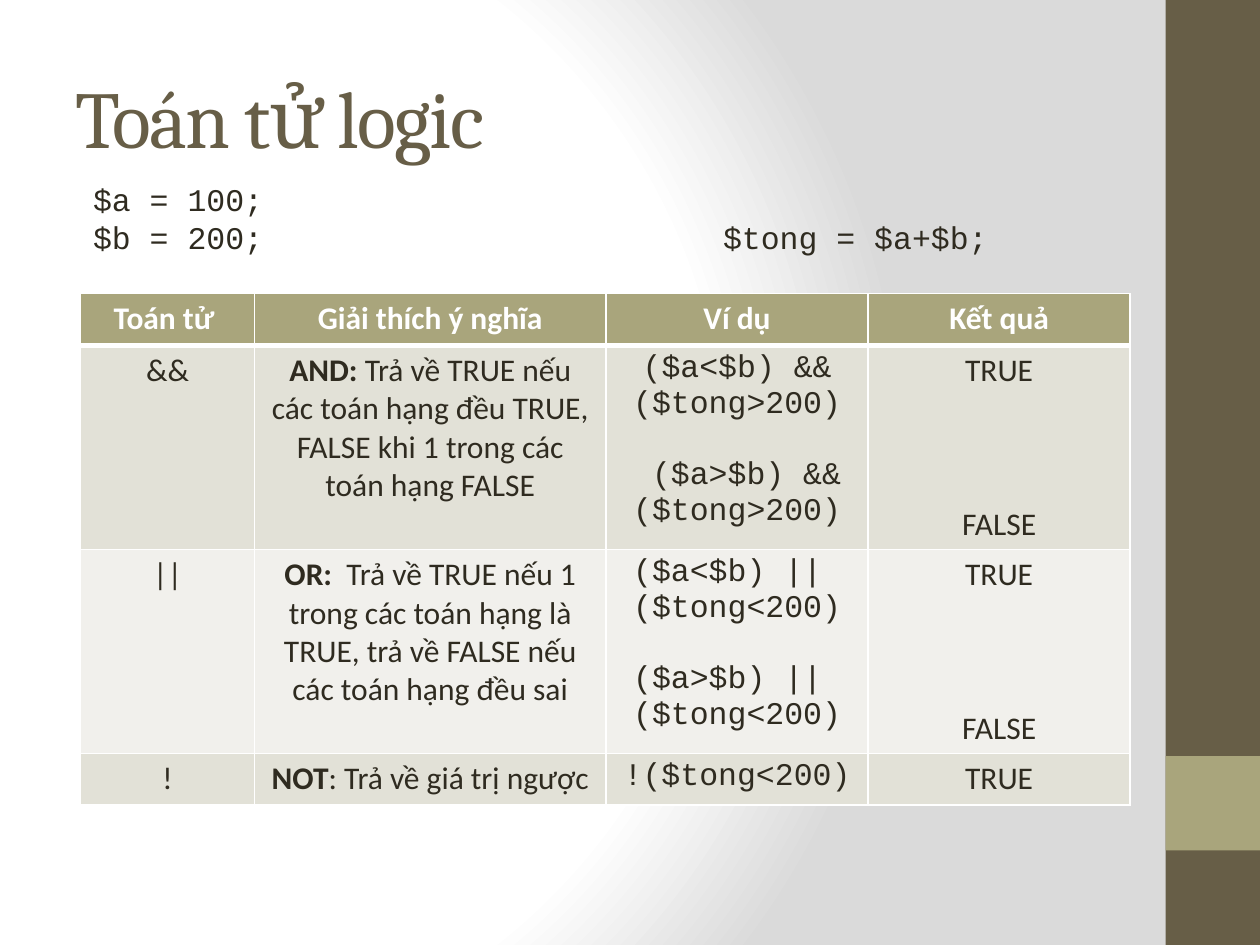
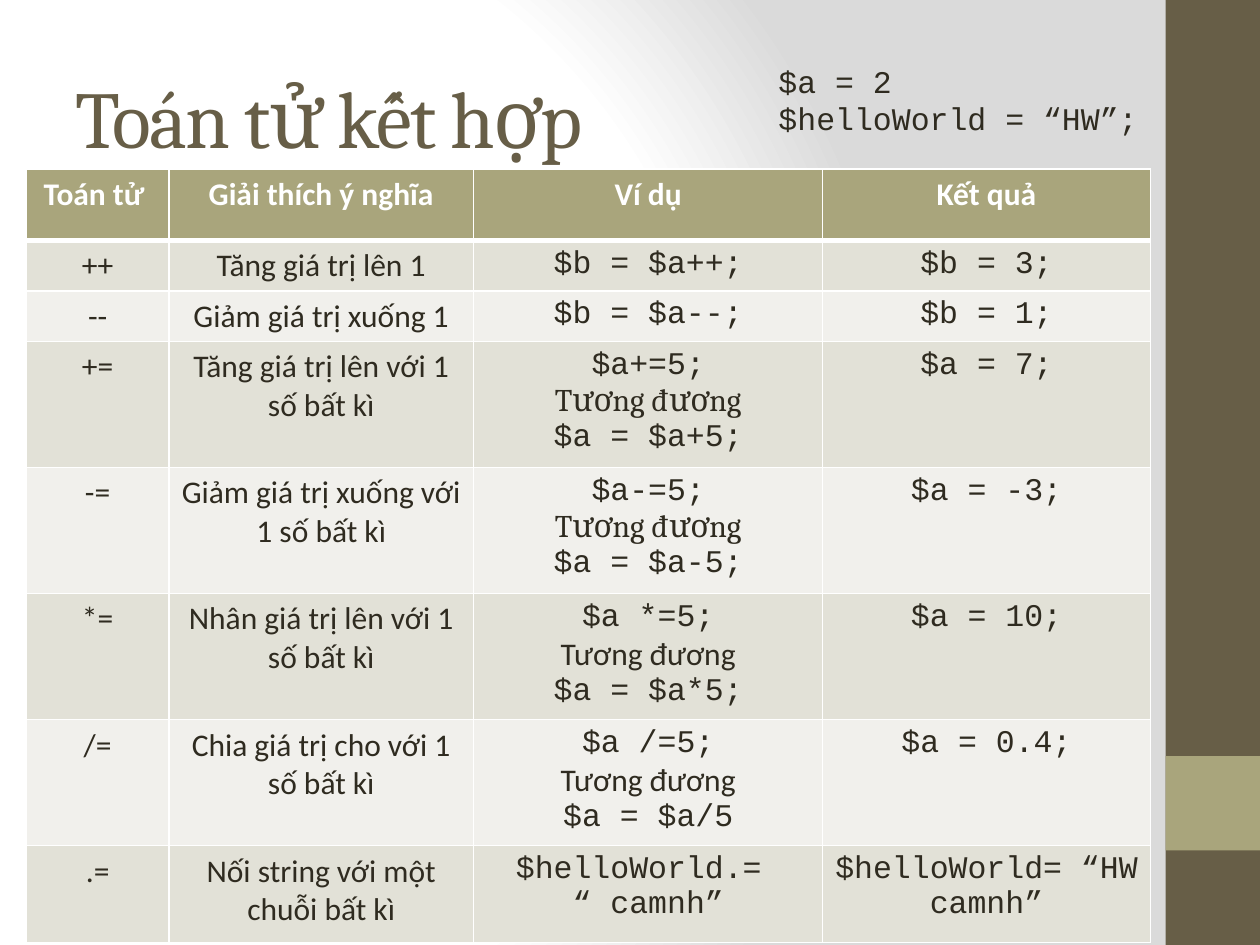
import pptx
import pptx.dml.color
import pptx.enum.shapes
import pptx.enum.text
import pptx.oxml
import pptx.oxml.ns
import pptx.util
from dataclasses import dataclass
from lxml import etree

Inches = pptx.util.Inches
Pt = pptx.util.Pt
COLORS = {
    "brown": "675E47", "olive": "A9A57C", "ink": "2F2B20", "white": "FFFFFF",
    "row_dark": "E2E1D7", "row_light": "F1F0EC", "gray": "DADADA",
}
BODY, HEADING, CODE = "Calibri", "Cambria", "Courier New"
HEADERS = ["Toán tử ", "Giải thích ý nghĩa", "Ví dụ", "Kết quả"]


@dataclass
class Line:
    """One paragraph of a cell: an optional bold lead, text and space above."""
    text: str
    font: str = BODY
    lead: str = ""
    gap: float = 0


def color(name):
    return pptx.dml.color.RGBColor.from_string(COLORS[name])


def style(font, name, size, fill, bold=False):
    font.name, font.size, font.bold = name, Pt(size), bold
    font.color.rgb = color(fill)


def add_background(page):
    """Radial gradient from white to gray."""
    page.background.fill.gradient()
    gradient = page.element.xpath("./p:cSld/p:bg//a:gradFill")[0]
    stops = "".join(
        f'<a:gs pos="{place * 1000}"><a:srgbClr val="{COLORS[name]}"/></a:gs>'
        for place, name in [(0, "white"), (75, "white"), (100, "gray")])
    radial = pptx.oxml.parse_xml(
        f'<a:gradFill {pptx.oxml.ns.nsdecls("a")} rotWithShape="1">'
        f'<a:gsLst>{stops}</a:gsLst><a:path path="circle">'
        '<a:fillToRect l="20000" t="50000" r="100000" b="50000"/>'
        '</a:path></a:gradFill>')
    gradient.getparent().replace(gradient, radial)


def add_side_band(page, left, width, height):
    """Full-height band with a square accent low on it."""
    for top, tall, name in [(0, height, "brown"), (0.8 * height, width, "olive")]:
        band = page.shapes.add_shape(
            pptx.enum.shapes.MSO_SHAPE.RECTANGLE,
            Inches(left), Inches(top), Inches(width), Inches(tall))
        band.shadow.inherit = False
        band.fill.solid()
        band.fill.fore_color.rgb = color(name)
        band.line.fill.background()


def add_text_box(page, left, top, width, height):
    box = page.shapes.add_textbox(
        Inches(left), Inches(top), Inches(width), Inches(height))
    box.text_frame.word_wrap = True
    return box.text_frame


def add_title(page, text, left, top, width, height):
    frame = add_text_box(page, left, top, width, height)
    frame.vertical_anchor = pptx.enum.text.MSO_ANCHOR.MIDDLE
    para = frame.paragraphs[0]
    span = para.add_run()
    span.text = text
    style(para.font, HEADING, 46, "brown")
    span.font._element.set("spc", "-100")


def add_code(page, lines, left, top, width, height, tab=None):
    """Code lines; tab is the distance of a tab stop from the text edge."""
    frame = add_text_box(page, left, top, width, height)
    frame.text = "\n".join(lines)
    for para in frame.paragraphs:
        style(para.font, CODE, 18, "ink")
        if tab:
            properties = para._p.get_or_add_pPr()
            stops = etree.Element(pptx.oxml.ns.qn("a:tabLst"))
            etree.SubElement(stops, pptx.oxml.ns.qn("a:tab"),
                             pos=str(Inches(tab)), algn="l")
            properties.insert(0, stops)


def set_borders(cell, bottom):
    properties = cell._tc.get_or_add_tcPr()
    sides = [("L", 1), ("R", 1), ("T", 1), ("B", bottom)]
    for place, (side, points) in enumerate(sides):
        properties.insert(place, pptx.oxml.parse_xml(
            f'<a:ln{side} {pptx.oxml.ns.nsdecls("a")} w="{Pt(points)}">'
            f'<a:solidFill><a:srgbClr val="{COLORS["white"]}"/></a:solidFill>'
            f'</a:ln{side}>'))


def fill_cell(cell, lines, fill, ink="ink", bold=False, bottom=1):
    cell.fill.solid()
    cell.fill.fore_color.rgb = color(fill)
    set_borders(cell, bottom)
    frame = cell.text_frame
    for number, line in enumerate(lines):
        para = frame.add_paragraph() if number else frame.paragraphs[0]
        para.alignment = pptx.enum.text.PP_ALIGN.CENTER
        style(para.font, line.font, 18, ink, bold)
        if line.gap:
            para.space_before = Pt(line.gap)
        if line.lead:
            span = para.add_run()
            span.text = line.lead
            span.font.bold = True
        para.add_run().text = line.text


def add_operator_table(page, rows, left, top, widths, heights):
    """Header row, then rows of cells in alternating shades."""
    frame = page.shapes.add_table(
        len(heights), len(widths), Inches(left), Inches(top),
        Inches(sum(widths)), Inches(sum(heights)))
    table = frame.table
    table.horz_banding = False
    for column, width in zip(table.columns, widths):
        column.width = Inches(width)
    for row, height in zip(table.rows, heights):
        row.height = Inches(height)
    for column, text in enumerate(HEADERS):
        fill_cell(table.cell(0, column), [Line(text)], "olive", "white", True, 3)
    for number, cells in enumerate(rows, 1):
        shade = "row_dark" if number % 2 else "row_light"
        for column, lines in enumerate(cells):
            fill_cell(table.cell(number, column), lines, shade)


def add_page(deck, title):
    page = deck.slides.add_slide(deck.slide_layouts[6])
    add_background(page)
    add_side_band(page, 9.25, 0.75, 7.5)
    add_title(page, title, 0.5, 0.3, 8.33, 1.25)
    return page


def logic_row(sign, lead, meaning, examples, results):
    """Examples and results start level, so each column has its own gap."""
    return [
        [Line(sign)],
        [Line(meaning, lead=lead)],
        [Line(text, CODE, gap=20.4 * (place > 0))
         for place, text in enumerate(examples)],
        [Line(text, gap=66 * (place > 0)) for place, text in enumerate(results)],
    ]


def compound_row(sign, meaning, examples, result, link_font=BODY):
    """A middle line of three links two equivalent expressions."""
    return [
        [Line(sign)],
        [Line(meaning)],
        [Line(text, link_font if text == "Tương đương" else CODE)
         for text in examples],
        [Line(result, CODE)],
    ]


def equivalent(short, full):
    return [short, "Tương đương", full]


def build_logic_page(deck):
    page = add_page(deck, "Toán tử logic")
    rows = [
        logic_row("&&", "AND: ",
                  "Trả về TRUE nếu các toán hạng đều TRUE, "
                  "FALSE khi 1 trong các toán hạng FALSE",
                  ["($a<$b) && ($tong>200)", " ($a>$b) && ($tong>200)"],
                  ["TRUE", "FALSE"]),
        logic_row("||", "OR: ",
                  " Trả về TRUE nếu 1 trong các toán hạng là TRUE, "
                  "trả về FALSE nếu các toán hạng đều sai",
                  ["($a<$b) ||  ($tong<200)", "($a>$b) ||  ($tong<200)"],
                  ["TRUE", "FALSE"]),
        logic_row("!", "NOT", ": Trả về giá trị ngược",
                  ["!($tong<200)"], ["TRUE"]),
    ]
    add_operator_table(page, rows, 0.64, 2.33, [1.38, 2.79, 2.08, 2.08],
                       [0.41, 1.62, 1.62, 0.41])
    add_code(page, ["$a = 100;", "$b = 200;\t$tong = $a+$b;"],
             0.64, 1.38, 8.33, 0.71, tab=5)


def build_compound_page(deck):
    page = add_page(deck, "Toán tử kết hợp")
    rows = [
        compound_row("++", "Tăng giá trị lên 1", ["$b = $a++;"], "$b = 3;"),
        compound_row("--", "Giảm giá trị xuống 1", ["$b = $a--;"], "$b = 1;"),
        compound_row("+=", "Tăng giá trị lên với 1 số bất kì",
                     equivalent("$a+=5;", "$a = $a+5;"), "$a = 7;", HEADING),
        compound_row("-=", "Giảm giá trị xuống với 1 số bất kì",
                     equivalent("$a-=5;", "$a = $a-5;"), "$a = -3;", HEADING),
        compound_row("*=", "Nhân giá trị lên với 1 số bất kì",
                     equivalent("$a *=5;", "$a = $a*5;"), "$a = 10;"),
        compound_row("/=", "Chia giá trị cho với 1 số bất kì",
                     equivalent("$a /=5;", "$a = $a/5"), "$a = 0.4;"),
        compound_row(".=", "Nối string với một chuỗi bất kì",
                     ["$helloWorld.= ", "“ camnh”"], "$helloWorld= “HW camnh”"),
    ]
    add_operator_table(page, rows, 0.21, 1.34, [1.13, 2.42, 2.77, 2.6],
                       [0.57] + [0.39] * 2 + [0.98] * 4 + [0.77])
    add_code(page, ["$a = 2", "$helloWorld = “HW”;"], 6.08, 0.44, 3.08, 0.71)


deck = pptx.Presentation()
deck.slide_width, deck.slide_height = Inches(10), Inches(7.5)
build_logic_page(deck)
build_compound_page(deck)
deck.save("out.pptx")
